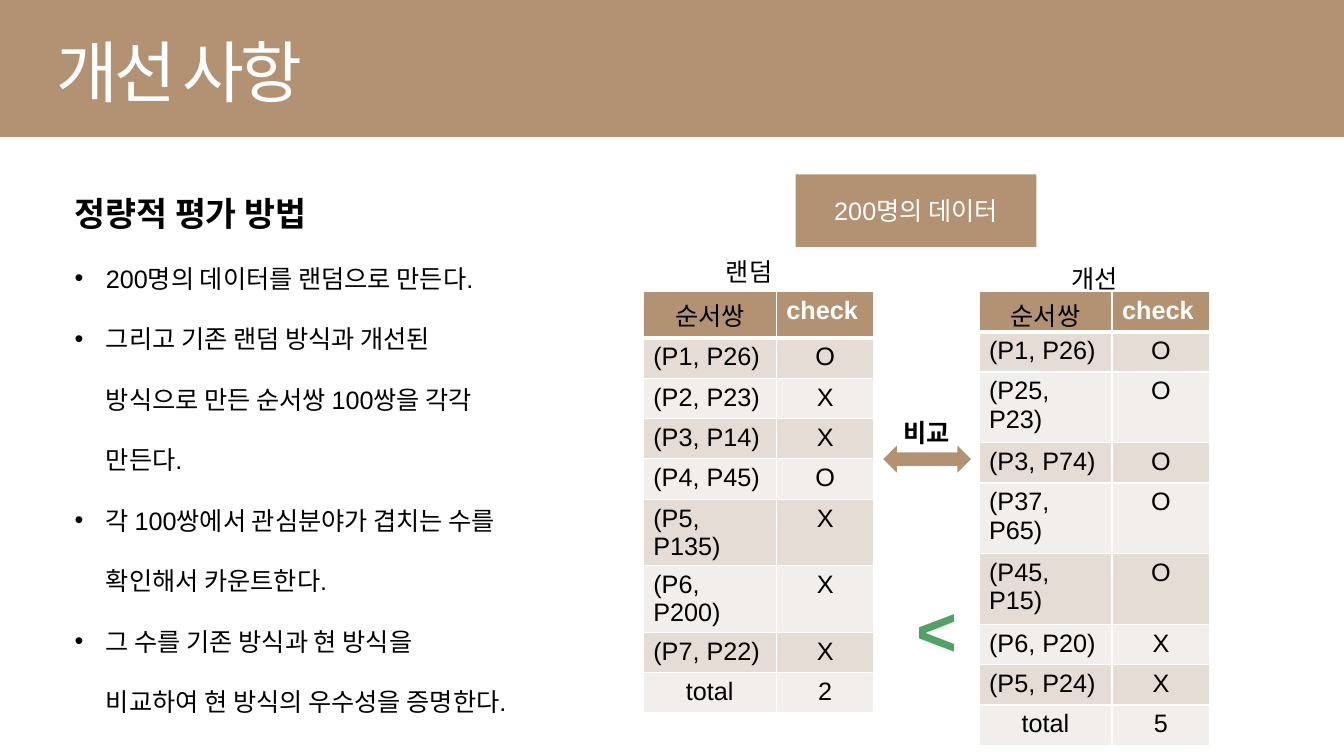
from lxml import etree
from pptx import Presentation
from pptx.dml.color import RGBColor
from pptx.enum.shapes import MSO_SHAPE
from pptx.enum.text import MSO_ANCHOR, MSO_AUTO_SIZE, PP_ALIGN
from pptx.oxml.ns import qn
from pptx.util import Inches, Pt

BROWN = RGBColor(0xB3, 0x92, 0x73)
DARK_BAND = RGBColor(0xE5, 0xDC, 0xD5)
LIGHT_BAND = RGBColor(0xF2, 0xEE, 0xEB)
GREEN = RGBColor(0x50, 0xA2, 0x65)
WHITE = RGBColor(0xFF, 0xFF, 0xFF)
BLACK = RGBColor(0, 0, 0)
FONT = "Arial"
LEFT, CENTER = PP_ALIGN.LEFT, PP_ALIGN.CENTER
TOP, MIDDLE = MSO_ANCHOR.TOP, MSO_ANCHOR.MIDDLE
NO_AUTOFIT = MSO_AUTO_SIZE.NONE
RECT, DOUBLE_ARROW = MSO_SHAPE.RECTANGLE, MSO_SHAPE.LEFT_RIGHT_ARROW

METHOD_HEADING = "정량적 평가 방법"
METHOD_STEPS = [
    "200명의 데이터를 랜덤으로 만든다.",
    "그리고 기존 랜덤 방식과 개선된 방식으로 만든 순서쌍 100쌍을 각각 만든다.",
    "각 100쌍에서 관심분야가 겹치는 수를 확인해서 카운트한다.",
    "그 수를 기존 방식과 현 방식을 비교하여 현 방식의 우수성을 증명한다.",
]
HEADER = ("순서쌍", "check")
RANDOM_PAIRS = [
    ("(P1, P26)", "O"), ("(P2, P23)", "X"), ("(P3, P14)", "X"),
    ("(P4, P45)", "O"), ("(P5, P135)", "X"), ("(P6, P200)", "X"),
    ("(P7, P22)", "X"), ("total", "2"),
]
IMPROVED_PAIRS = [
    ("(P1, P26)", "O"), ("(P25, P23)", "O"), ("(P3, P74)", "O"),
    ("(P37, P65)", "O"), ("(P45, P15)", "O"), ("(P6, P20)", "X"),
    ("(P5, P24)", "X"), ("total", "5"),
]
COLUMN_WIDTHS = (1.32, 0.97)
ROW_HEIGHT = 0.4


def add_run(p, text, size=18, color=BLACK, bold=False):
    r = p.add_run()
    r.text = text
    r.font.name = FONT
    r.font.size = Pt(size)
    r.font.bold = bold
    r.font.color.rgb = color
    return r


def place(s, left, top, width, height):
    s.left, s.top = Inches(left), Inches(top)
    s.width, s.height = Inches(width), Inches(height)


def add_block(slide, kind, left, top, width, height):
    s = slide.shapes.add_shape(
        kind, Inches(left), Inches(top), Inches(width), Inches(height))
    s.shadow.inherit = False
    s.fill.solid()
    s.fill.fore_color.rgb = BROWN
    s.line.fill.background()
    return s


def add_label(slide, text, left, top, width, height, **style):
    box = slide.shapes.add_textbox(
        Inches(left), Inches(top), Inches(width), Inches(height))
    tf = box.text_frame
    tf.word_wrap = True
    p = tf.paragraphs[0]
    p.alignment = CENTER
    add_run(p, text, **style)


def fill_title(slide, text):
    title = slide.shapes.title
    place(title, 0.46, 0.25, 2.87, 0.91)
    tf = title.text_frame
    tf.auto_size = NO_AUTOFIT
    tf.word_wrap = False
    tf.vertical_anchor = TOP
    p = tf.paragraphs[0]
    p.alignment = LEFT
    r = add_run(p, text, size=48, color=WHITE)
    r.font._element.set("spc", "-300")


def set_bullet(p, char=None):
    """Give the paragraph a hanging bullet, or none when char is missing."""
    pPr = p._p.get_or_add_pPr()
    indent = Inches(0.31) if char else 0
    pPr.set("marL", str(indent))
    pPr.set("indent", str(-indent))
    if char:
        etree.SubElement(pPr, qn("a:buChar")).set("char", char)
    else:
        etree.SubElement(pPr, qn("a:buNone"))


def fill_method(slide):
    body = slide.placeholders[1]
    place(body, 0.64, 1.46, 4.49, 5.66)
    tf = body.text_frame
    tf.auto_size = NO_AUTOFIT
    tf.word_wrap = True
    tf.vertical_anchor = TOP
    for i, text in enumerate([METHOD_HEADING] + METHOD_STEPS):
        is_heading = i == 0
        p = tf.paragraphs[0] if is_heading else tf.add_paragraph()
        p.alignment = LEFT
        p.line_spacing = 2.0
        p.space_before = Pt(0)
        set_bullet(p, None if is_heading else "•")
        add_run(p, text, size=24 if is_heading else 18, bold=is_heading)


def set_borders(cell, top, bottom):
    tcPr = cell._tc.get_or_add_tcPr()
    for side, width in (("L", 1), ("R", 1), ("T", top), ("B", bottom)):
        ln = etree.SubElement(tcPr, qn(f"a:ln{side}"), w=str(Pt(width)))
        fill = etree.SubElement(ln, qn("a:solidFill"))
        etree.SubElement(fill, qn("a:srgbClr"), val=str(WHITE))


def add_pair_table(slide, left, pairs):
    rows = [HEADER] + pairs
    table = slide.shapes.add_table(
        len(rows), len(HEADER), Inches(left), Inches(2.89),
        Inches(sum(COLUMN_WIDTHS)), Inches(ROW_HEIGHT * len(rows))).table
    for column, width in zip(table.columns, COLUMN_WIDTHS):
        column.width = Inches(width)
    for i, row in enumerate(rows):
        table.rows[i].height = Inches(ROW_HEIGHT)
        for j, text in enumerate(row):
            cell = table.cell(i, j)
            set_borders(cell, top=3 if i == 1 else 1, bottom=3 if i == 0 else 1)
            cell.fill.solid()
            cell.fill.fore_color.rgb = (
                BROWN if i == 0 else DARK_BAND if i % 2 else LIGHT_BAND)
            is_check = text == HEADER[1]
            p = cell.text_frame.paragraphs[0]
            p.alignment = LEFT if is_check or text.startswith("(") else CENTER
            add_run(p, text, color=WHITE if is_check else BLACK, bold=is_check)


def main():
    prs = Presentation()
    prs.slide_width, prs.slide_height = Inches(13.33), Inches(7.5)
    slide = prs.slides.add_slide(prs.slide_layouts[1])

    band = add_block(slide, RECT, 0, 0, 13.33, 1.36)
    slide.shapes._spTree.insert(2, band._element)  # behind the title
    fill_title(slide, "개선 사항")
    fill_method(slide)

    data_box = add_block(slide, RECT, 7.89, 1.73, 2.39, 0.72)
    data_box.text_frame.vertical_anchor = MIDDLE
    p = data_box.text_frame.paragraphs[0]
    p.alignment = CENTER
    add_run(p, "200명의 데이터", color=WHITE)

    add_pair_table(slide, 6.38, RANDOM_PAIRS)
    add_label(slide, "랜덤", 6.96, 2.49, 0.94, 0.4)
    add_label(slide, "개선", 10.39, 2.56, 0.94, 0.4)
    add_pair_table(slide, 9.71, IMPROVED_PAIRS)

    add_block(slide, DOUBLE_ARROW, 8.76, 4.42, 0.87, 0.27)
    add_label(slide, "비교", 8.8, 4.09, 0.78, 0.4, bold=True)
    add_label(slide, "<", 8.99, 5.77, 0.42, 0.94, size=50, color=GREEN, bold=True)

    prs.save("out.pptx")


if __name__ == "__main__":
    main()
